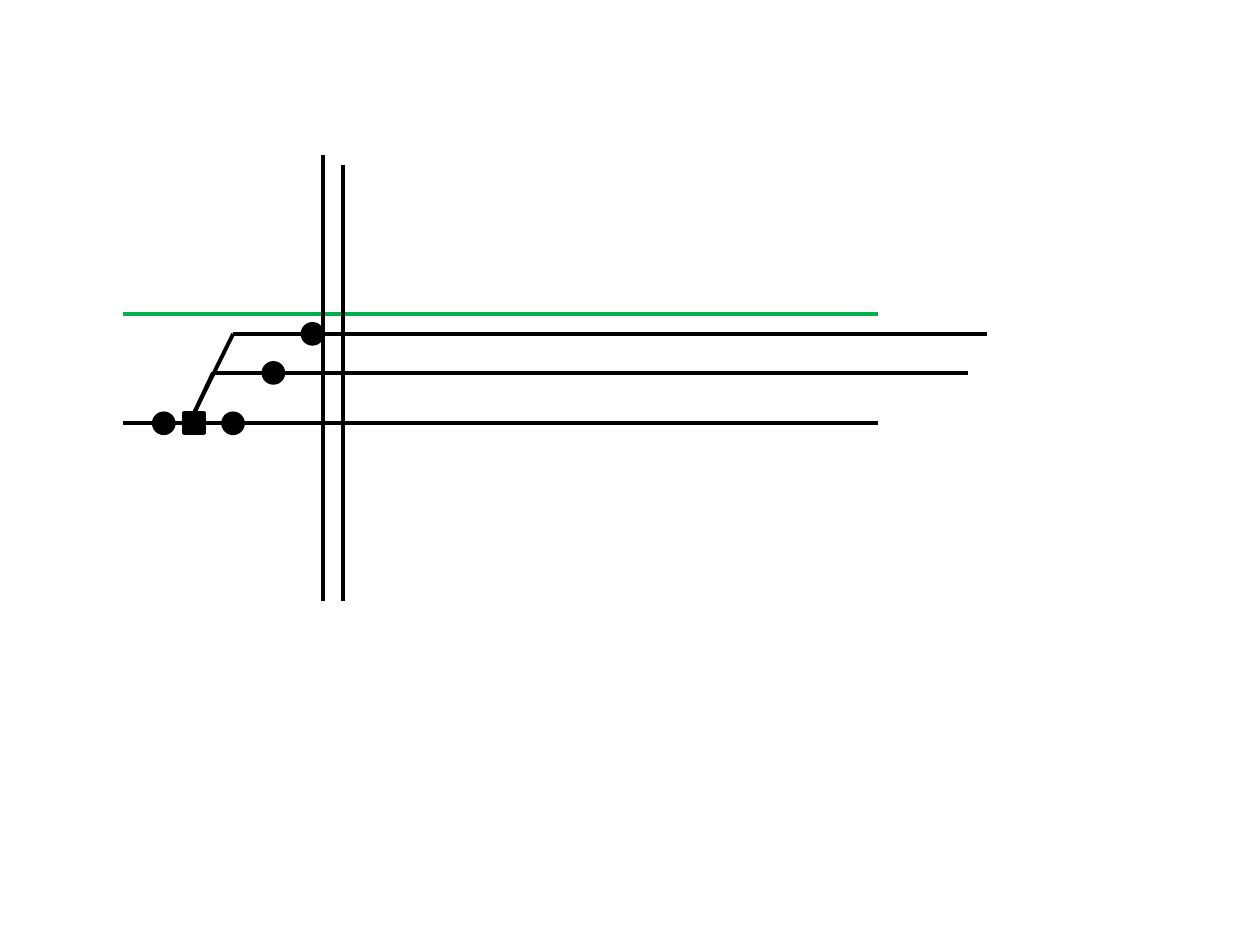
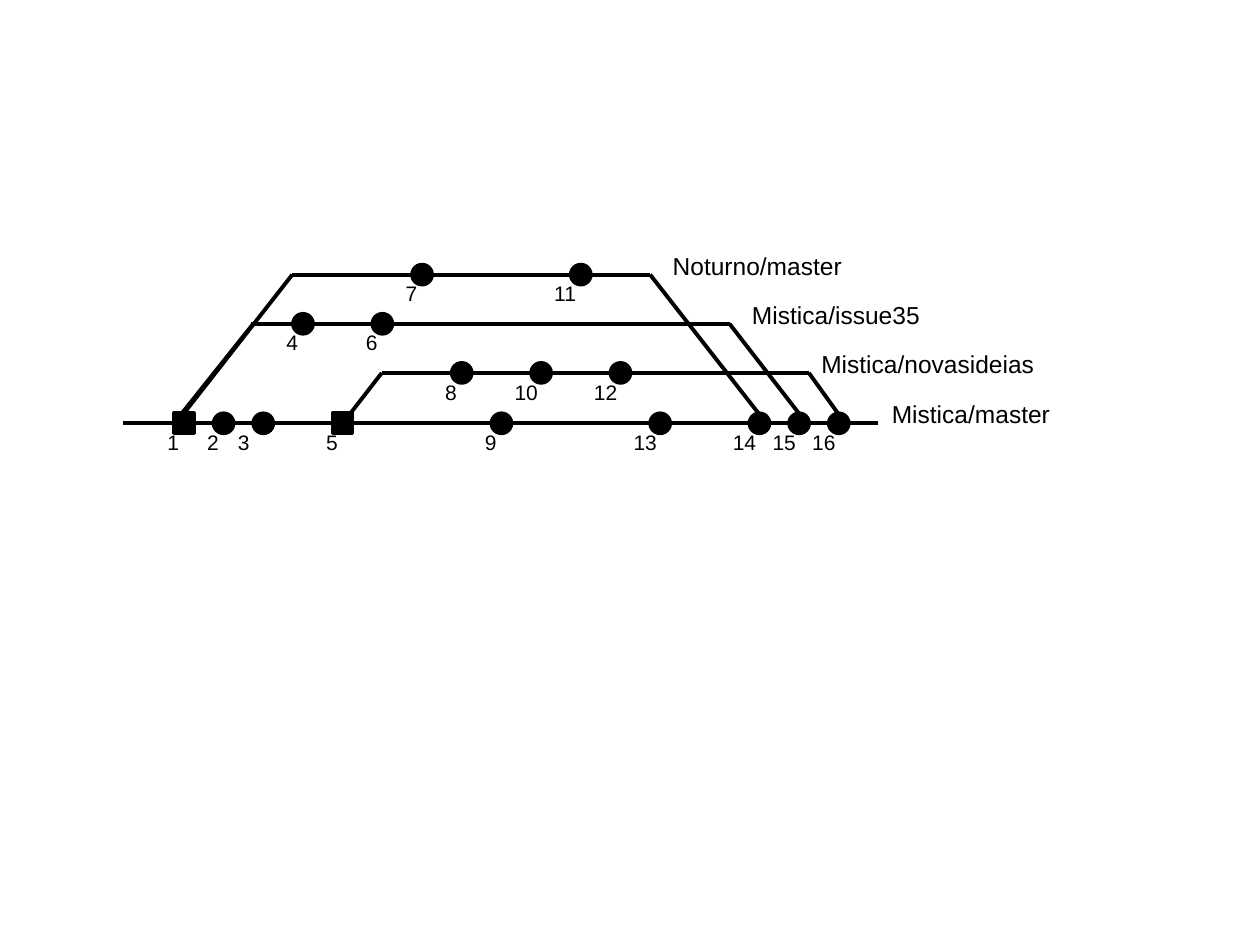
from lxml.etree import SubElement
from pptx import Presentation
from pptx.dml.color import RGBColor
from pptx.enum.shapes import MSO_CONNECTOR, MSO_SHAPE
from pptx.enum.text import MSO_AUTO_SIZE
from pptx.oxml.ns import qn
from pptx.util import Inches, Pt

BLACK = RGBColor(0x00, 0x00, 0x00)
GREEN = RGBColor(0x00, 0xB0, 0x50)

NOTURNO, ISSUE, IDEAS, MASTER = 2.18, 2.57, 2.96, 3.36
FIRST_COMMIT = 1.46
COMMIT_STEP = 0.315


def write_text(shape, text, size=12, font="Arial", color=BLACK):
    frame = shape.text_frame
    frame.word_wrap = False
    frame.auto_size = MSO_AUTO_SIZE.SHAPE_TO_FIT_TEXT
    run = frame.paragraphs[0].add_run()
    run.text = text
    run.font.size = Pt(size)
    run.font.name = font
    run.font.color.rgb = color


class BranchDiagram:
    line_width = Pt(2.25)
    outline_width = Pt(2)
    marker_size = 0.16

    def __init__(self, presentation):
        self.presentation = presentation
        self.slide = None

    def new_slide(self):
        self.slide = self.presentation.slides.add_slide(self.presentation.slide_layouts[6])

    def line(self, start, end, color=BLACK):
        points = [Inches(value) for value in (*start, *end)]
        connector = self.slide.shapes.add_connector(MSO_CONNECTOR.STRAIGHT, *points)
        connector.line.color.rgb = color
        connector.line.width = self.line_width
        SubElement(connector.element.spPr, qn("a:effectLst"))

    def marker(self, x, y, kind=MSO_SHAPE.OVAL):
        size = self.marker_size
        shape = self.slide.shapes.add_shape(
            kind, Inches(x - size / 2), Inches(y - size / 2), Inches(size), Inches(size))
        shape.shadow.inherit = False
        shape.fill.solid()
        shape.fill.fore_color.rgb = BLACK
        shape.line.color.rgb = BLACK
        shape.line.width = self.outline_width

    def label(self, text, left, top, width, height=0.34, size=14):
        box = self.slide.shapes.add_textbox(
            Inches(left), Inches(top), Inches(width), Inches(height))
        write_text(box, text, size=size)

    def commit(self, number, slot, y, kind=MSO_SHAPE.OVAL, nudge=0):
        x = FIRST_COMMIT + slot * COMMIT_STEP
        self.marker(x, y, kind)
        offset, width = (0.23, 0.29) if number < 10 else (0.31, 0.39)
        self.label(str(number), x - offset + nudge, y, width, height=0.3, size=12)


def build_branch_start(diagram):
    diagram.new_slide()
    diagram.line((0.98, MASTER), (6.97, MASTER))
    diagram.line((0.98, 2.49), (6.97, 2.49), GREEN)
    for x, y, end in ((1.69, 2.96, 7.68), (1.85, 2.65, 7.83)):
        diagram.line((1.54, 3.28), (x, y))
        diagram.line((x, y), (end, y))
    for x, top in ((2.56, 1.23), (2.72, 1.31)):
        diagram.line((x, top), (x, 4.77))
    for x, y in ((1.3, MASTER), (1.85, MASTER), (2.48, 2.65), (2.17, 2.96)):
        diagram.marker(x, y)
    diagram.marker(1.54, MASTER, MSO_SHAPE.RECTANGLE)


def build_branch_history(diagram):
    diagram.new_slide()
    diagram.line((0.98, MASTER), (6.97, MASTER))
    branches = (
        (IDEAS, (2.72, MASTER), 3.03, 3.03, 6.42, 6.65),
        (ISSUE, (1.38, MASTER), 2.01, 1.99, 5.79, 6.34),
        (NOTURNO, (1.46, 3.28), 2.32, 2.32, 5.16, 6.02),
    )
    for y, fork, rise_end, left, right, merge in branches:
        diagram.line(fork, (rise_end, y))
        diagram.line((left, y), (right, y))
        diagram.line((right, y), (merge, 3.28))

    names = (
        ("Mistica/master", 6.98, MASTER, 1.46),
        ("Mistica/novasideias", 6.42, IDEAS, 1.9),
        ("Mistica/issue35", 5.87, ISSUE, 1.54),
        ("Noturno/master", 5.24, NOTURNO, 1.55),
    )
    for name, left, y, width in names:
        diagram.label(name, left, y - 0.24, width)

    diagram.commit(1, 0, MASTER, MSO_SHAPE.RECTANGLE)
    diagram.commit(5, 4, MASTER, MSO_SHAPE.RECTANGLE)
    diagram.commit(3, 2, MASTER, nudge=-0.07)
    commits = (
        (2, 1, MASTER), (4, 3, ISSUE), (6, 5, ISSUE), (7, 6, NOTURNO),
        (8, 7, IDEAS), (9, 8, MASTER), (10, 9, IDEAS), (11, 10, NOTURNO),
        (12, 11, IDEAS), (13, 12, MASTER), (14, 14.5, MASTER),
        (15, 15.5, MASTER), (16, 16.5, MASTER),
    )
    for number, slot, y in commits:
        diagram.commit(number, slot, y)


presentation = Presentation()
presentation.slide_width = Inches(10)
presentation.slide_height = Inches(7.5)
diagram = BranchDiagram(presentation)
build_branch_start(diagram)
build_branch_history(diagram)
presentation.save("out.pptx")
